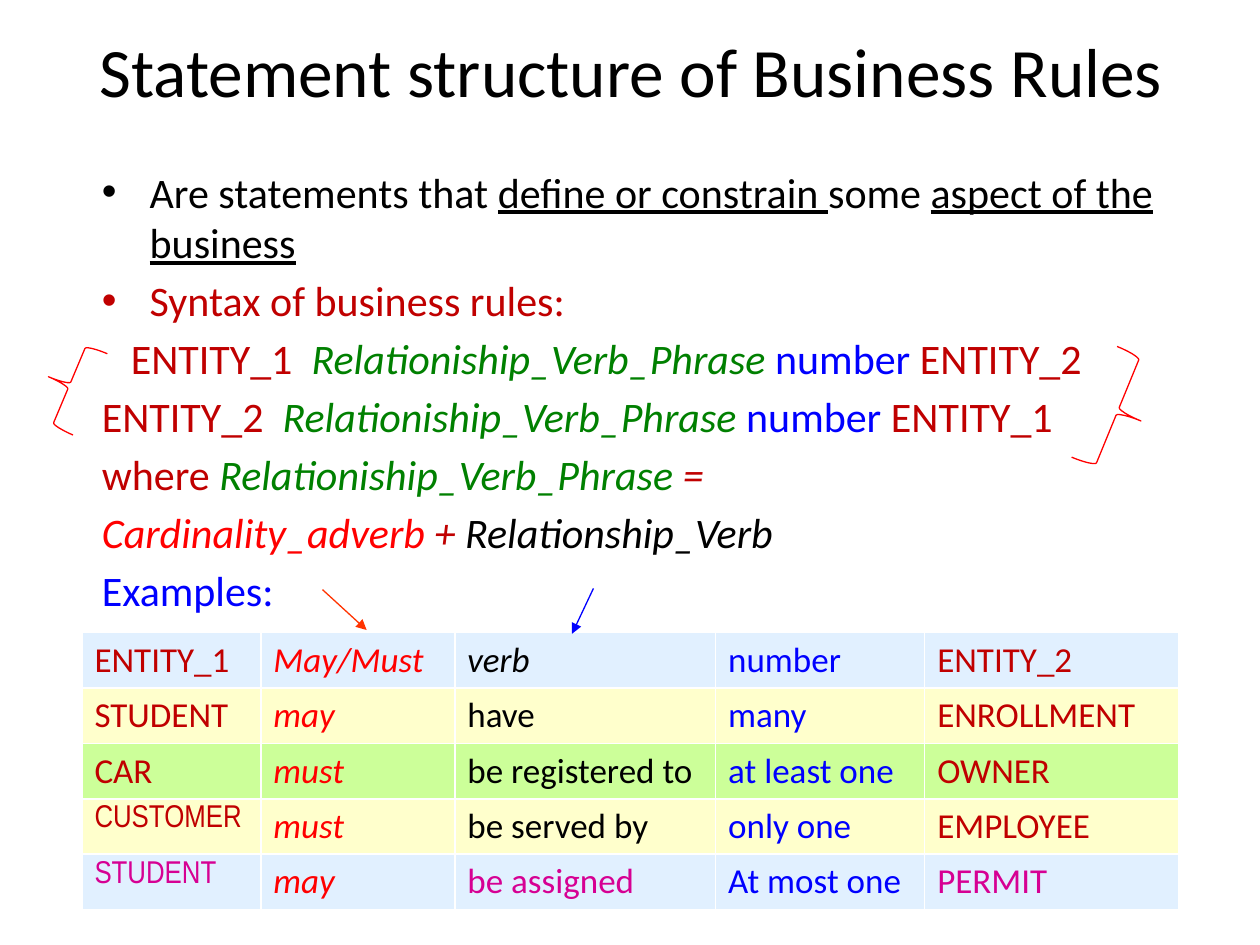
"""Build a slide on the statement structure of business rules."""
from dataclasses import dataclass
from lxml import etree
from pptx import Presentation, util as u
from pptx.dml.color import RGBColor
from pptx.enum import shapes, text
from pptx.oxml import ns


@dataclass(frozen=True)
class Theme:
    """Colours, fonts and type sizes."""
    black: str = "000000"
    white: str = "FFFFFF"
    dark: str = "C00000"
    red: str = "FF0000"
    orange: str = "FF3300"
    green: str = "008000"
    blue: str = "0000FF"
    pink: str = "D60093"
    sky: str = "E1F0FF"
    cream: str = "FFFFCC"
    lime: str = "CCFF99"
    font: str = "Calibri"
    narrow: str = "Arial Narrow"
    title: float = 39.6
    body: float = 24
    cell: float = 20
    small: float = 18
    line: float = 0.75


T = Theme()
WIDE, HIGH = 10, 7.5
TITLE = "Statement structure of Business Rules"
PHRASE = "Relationiship_Verb_Phrase"


def rule(first, second):
    """Return the runs of one syntax line."""
    return [(f"{first}  ", T.dark, ""), (f"{PHRASE} ", T.green, "i"),
            ("number", T.blue, ""), (f" {second}", T.dark, "")]


BODY = [
    ("bullet", [("Are statements that ", T.black, ""),
                ("define or constrain ", T.black, "u"),
                ("some ", T.black, ""),
                ("aspect of the business", T.black, "u")]),
    ("bullet", [("Syntax of business rules:", T.dark, "")]),
    ("inset", rule("ENTITY_1", "ENTITY_2")),
    ("plain", rule("ENTITY_2", "ENTITY_1")),
    ("plain", [("where ", T.dark, ""), (PHRASE, T.green, "i"),
               (" =", T.dark, "i")]),
    ("plain", [("Cardinality_adverb", T.red, "i"), (" + ", T.dark, "i"),
               ("Relationship_Verb", T.black, "i")]),
    ("plain", [("Examples:", T.blue, "")]),
]
INDENT = {"bullet": (0.38, -0.38), "inset": (0, 0.23), "plain": (0, 0)}

ROWS = [
    (T.sky, ["ENTITY_1", "May/Must", "verb", "number", "ENTITY_2"]),
    (T.cream, ["STUDENT", "may", "have", "many", "ENROLLMENT"]),
    (T.lime, ["CAR", "must", "be registered to", "at least one", "OWNER"]),
    (T.cream, ["CUSTOMER", "must", "be served by", "only one", "EMPLOYEE"]),
    (T.sky, ["STUDENT", "may", "be assigned", "At most one", "PERMIT"]),
]
COLS = [(1.42, T.dark), (1.54, T.red), (2.07, T.black), (1.66, T.blue),
        (2.02, T.dark)]
ROW = 0.44
NARROW_ROWS = (3, 4)
PINK_COLS = (0, 2, 4)

BRACES = [((0.37, 2.71, 0.36, 0.7), 22.9), ((8.67, 2.79, 0.4, 0.95), 202.3)]
ARROWS = [((2.56, 4.68, 2.91, 5), T.orange), ((4.71, 4.67, 4.54, 5.03), T.blue)]


def inch(vals):
    """Turn numbers into inch lengths."""
    return [u.Inches(val) for val in vals]


def add_run(para, words, hue, style="", size=T.body, font=T.font):
    """Add one formatted run."""
    run = para.add_run()
    run.text = words
    face = run.font
    face.name, face.size = font, u.Pt(size)
    face.italic, face.underline = "i" in style, "u" in style
    face.color.rgb = RGBColor.from_string(hue)


def add_node(parent, tag, **attrs):
    """Append a drawing element."""
    return etree.SubElement(parent, ns.qn(tag), attrs)


def add_title(slide):
    """Place and fill the title."""
    box = slide.shapes.title
    box.left, box.top, box.width, box.height = inch((0.51, 0.17, 9, 0.76))
    frame = box.text_frame
    frame.vertical_anchor = text.MSO_ANCHOR.MIDDLE
    para = frame.paragraphs[0]
    para.alignment = text.PP_ALIGN.CENTER
    add_run(para, TITLE, T.black, size=T.title)


def add_body(slide):
    """Write the syntax lines."""
    left, top = 0.71, 1.27
    box = slide.shapes.add_textbox(*inch((left, top, WIDE - left, 3.7)))
    frame = box.text_frame
    frame.word_wrap = True
    for num, (kind, runs) in enumerate(BODY):
        para = frame.add_paragraph() if num else frame.paragraphs[0]
        para.space_before = u.Pt(4.3 if num else 0)
        props = para._p.get_or_add_pPr()
        margin, first = inch(INDENT[kind])
        props.set("marL", str(margin))
        props.set("indent", str(first))
        if kind == "bullet":
            add_node(props, "a:buFont", typeface="Arial")
            add_node(props, "a:buChar", char="•")
        else:
            add_node(props, "a:buNone")
        for run in runs:
            add_run(para, *run)


def add_edges(cell):
    """Draw white borders round a cell."""
    props = cell._tc.get_or_add_tcPr()
    for spot, side in enumerate("LRTB"):
        edge = etree.Element(ns.qn(f"a:ln{side}"), w=str(u.Pt(1)))
        fill = add_node(edge, "a:solidFill")
        add_node(fill, "a:srgbClr", val=T.white)
        props.insert(spot, edge)


def add_grid(slide):
    """Add the table of examples."""
    size = sum(wide for wide, _ in COLS), ROW * len(ROWS)
    grid = slide.shapes.add_table(len(ROWS), len(COLS),
                                  *inch((0.65, 5.02, *size))).table
    grid.first_row = grid.horz_banding = False
    for col, (wide, _) in zip(grid.columns, COLS):
        col.width = u.Inches(wide)
    for r, (fill, words) in enumerate(ROWS):
        grid.rows[r].height = u.Inches(ROW)
        for c, word in enumerate(words):
            cell = grid.cell(r, c)
            cell.fill.solid()
            cell.fill.fore_color.rgb = RGBColor.from_string(fill)
            add_edges(cell)
            last = r == len(ROWS) - 1
            hue = T.pink if last and c in PINK_COLS else COLS[c][1]
            slant = "i" if c == 1 or (r, c) == (0, 2) else ""
            slim = c == 0 and r in NARROW_ROWS
            size, font = (T.small, T.narrow) if slim else (T.cell, T.font)
            add_run(cell.text_frame.paragraphs[0], word, hue, slant, size, font)


def set_line(shape, hue):
    """Give a shape its thin line."""
    shape.line.color.rgb = RGBColor.from_string(hue)
    shape.line.width = u.Pt(T.line)


def add_marks(slide):
    """Add the braces and arrows."""
    for place, turn in BRACES:
        brace = slide.shapes.add_shape(shapes.MSO_SHAPE.LEFT_BRACE, *inch(place))
        brace.rotation = turn
        brace.shadow.inherit = False
        brace.fill.background()
        set_line(brace, T.red)
    for ends, hue in ARROWS:
        arrow = slide.shapes.add_connector(shapes.MSO_CONNECTOR.STRAIGHT,
                                           *inch(ends))
        set_line(arrow, hue)
        add_node(arrow.line._get_or_add_ln(), "a:tailEnd", type="triangle")
        add_node(arrow._element.spPr, "a:effectLst")


def main():
    """Make and save the deck."""
    deck = Presentation()
    deck.slide_width, deck.slide_height = inch((WIDE, HIGH))
    slide = deck.slides.add_slide(deck.slide_layouts[5])
    for part in (add_title, add_body, add_grid, add_marks):
        part(slide)
    deck.save("out.pptx")


if __name__ == "__main__":
    main()
